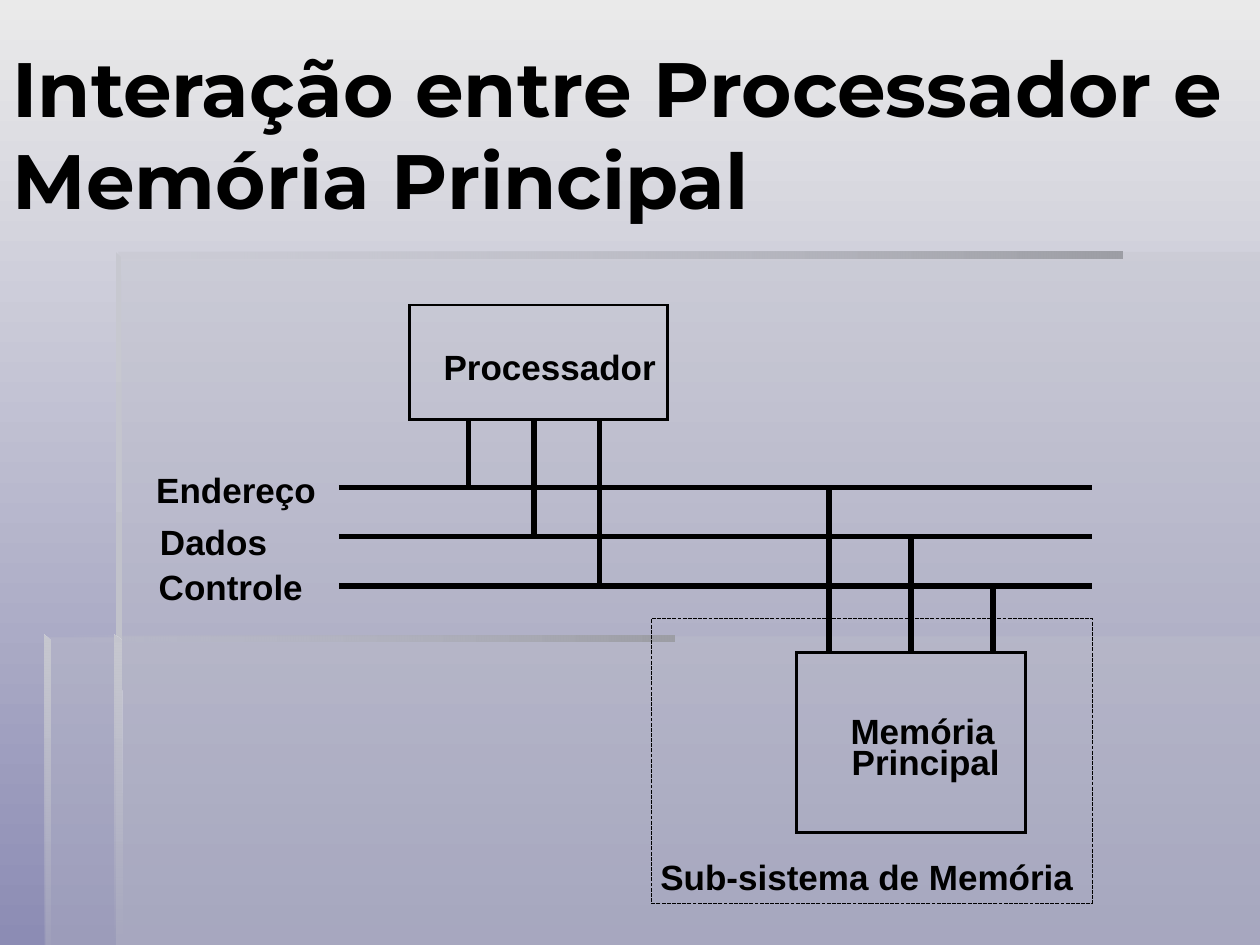
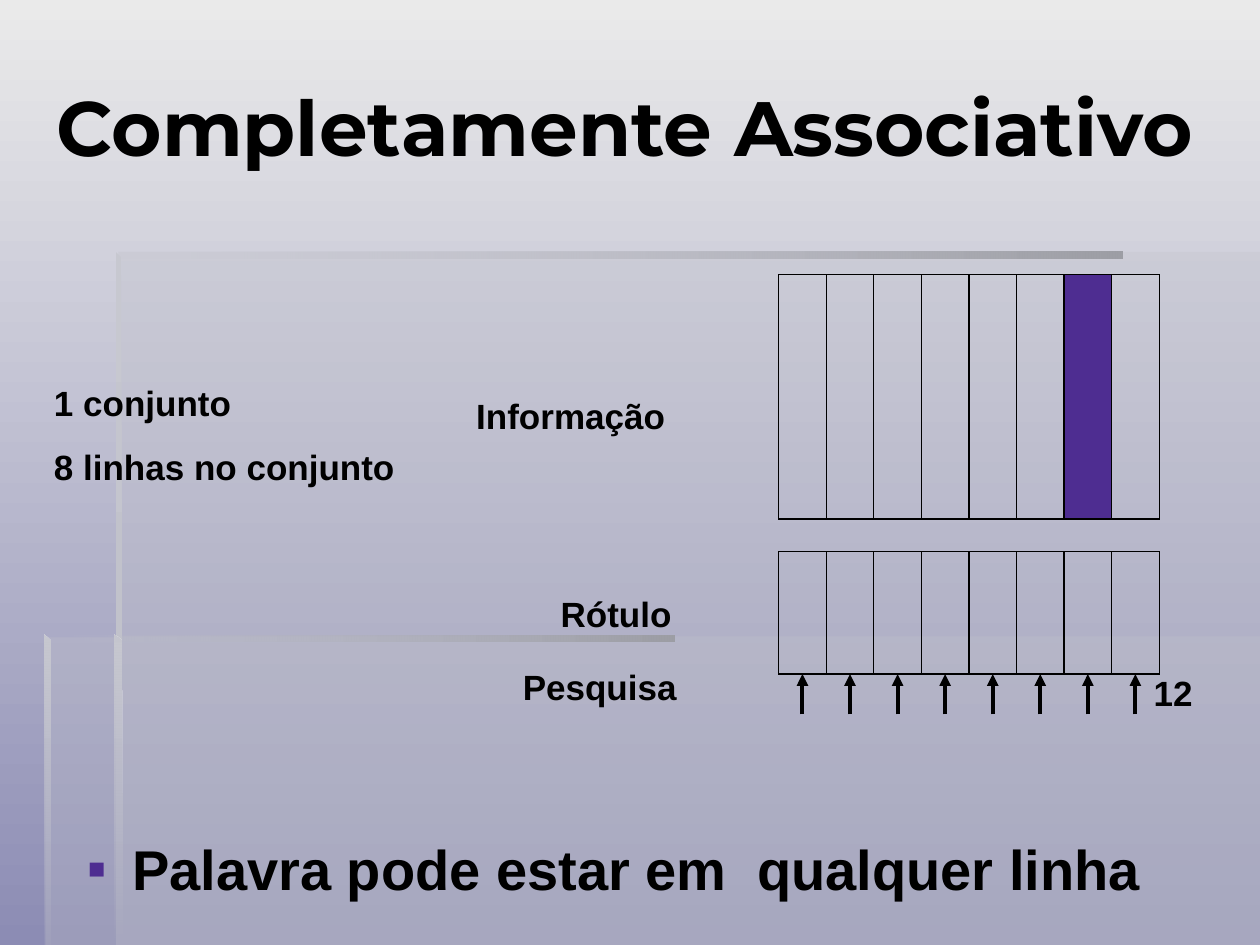
import pptx
import pptx.dml.color
import pptx.enum.dml
import pptx.enum.shapes
import pptx.enum.text
import pptx.oxml
import pptx.oxml.ns
import pptx.util
from pptx.util import Inches

# ---- Shared look ----
BLACK, PURPLE = "000000", "4E2D91"
BACKGROUND = [("EAEAEA", 100), ("8C8CB4", 100)]
PALE, BAR, EDGE = "C1C2CB", "9D9EA5", "C7C8D0"
BODY_FONT, TITLE_FONT = "Arial", "Montserrat"

# Decorative panels: outline, colour stops (colour, opacity %), clockwise angle
PANELS = [
    ([(0.92, 5.05), (0.92, 7.5), (10, 7.5), (10, 5.05)], [(PALE, 30)], 0),
    ([(0.94, 5.06), (0.36, 5.06), (0.36, 7.5), (10, 7.5), (10, 2), (0.94, 2)],
     [(PALE, 30)], 0),
    ([(0.92, 2), (0.92, 2.05), (8.91, 2.05), (8.91, 2)], [(BAR, 100), (PALE, 0)], 180),
    ([(0.92, 2), (0.92, 5.1), (0.97, 5.1), (0.96, 2.04)], [(EDGE, 100), (PALE, 100)], 90),
    ([(0.91, 7.5), (0.97, 7.5), (0.96, 5.08), (0.91, 5.04)], [(EDGE, 100), (PALE, 0)], 90),
    ([(0.35, 5.04), (0.35, 5.09), (5.35, 5.09), (5.35, 5.04)], [(BAR, 100), (PALE, 0)], 180),
    ([(0.35, 5.04), (0.35, 7.5), (0.4, 7.5), (0.4, 5.09)], [(EDGE, 100), (PALE, 10)], 90),
]

# ---- Slide 1: processor, buses and memory ----
BUS_TITLE = "Interação entre Processador e Memória Principal"
PROCESSOR_BOX = (3.25, 2.42, 2.05, 0.91)
MEMORY_BOX = (6.32, 5.18, 1.82, 1.43)
SUBSYSTEM_BOX = (5.17, 4.91, 3.5, 2.26)
BUS_LEFT, BUS_RIGHT, BUS_TOP, BUS_GAP, BUS_COUNT = 2.69, 8.67, 3.87, 0.39, 3
PROCESSOR_PIN, PROCESSOR_PIN_GAP = 3.72, 0.52
MEMORY_PIN, MEMORY_PIN_GAP = 6.58, 0.65
BUS_LABELS = [
    ("Processador", 3.52, 2.74, 1.69),
    ("Endereço", 1.24, 3.72, 1.27),
    ("Dados", 1.27, 4.13, 0.86),
    ("Controle", 1.26, 4.49, 1.15),
    ("Sub-sistema de Memória", 5.24, 6.79, 3.28),
    ("Memória", 6.75, 5.63, 1.15),
    ("Principal", 6.76, 5.88, 1.18),
]

# ---- Slide 2: fully associative cache ----
CACHE_TITLE = "Completamente Associativo"
CACHE_LEFT, CACHE_WIDTH, LINE_COUNT, FOUND_LINE = 6.18, 3.02, 8, 6
DATA_TOP, DATA_HEIGHT = 2.18, 1.94
TAG_TOP, TAG_HEIGHT = 4.38, 0.97
ARROW_START = 5.67
CACHE_LABELS = [
    ("Informação", 3.16, 3.08, 2.74),
    ("Rótulo", 3.05, 4.65, 3.68),
    ("Pesquisa", 3.44, 5.23, 2.64),
    ("12", 8.97, 5.28, 0.68),
]
CACHE_FACTS = ["1 conjunto", "8 linhas no conjunto"]
CACHE_POINT = "Palavra pode estar em  qualquer linha"


def color(value):
    return pptx.dml.color.RGBColor.from_string(value)


def set_opacity(color_element, percent):
    if percent < 100:
        alpha = pptx.oxml.parse_xml(
            f'<a:alpha {pptx.oxml.ns.nsdecls("a")} val="{percent * 1000}"/>')
        color_element.append(alpha)


def paint(fill, stops, angle, parent):
    """Solid fill for one stop, linear gradient for two."""
    if len(stops) == 1:
        fill.solid()
        fill.fore_color.rgb = color(stops[0][0])
    else:
        fill.gradient()
        fill.gradient_angle = 360 - angle
        for stop, (value, _) in zip(fill.gradient_stops, stops):
            stop.color.rgb = color(value)
    for element, (_, percent) in zip(parent.iter(pptx.oxml.ns.qn("a:srgbClr")), stops):
        set_opacity(element, percent)


def place(shape, left, top, width, height):
    shape.left, shape.top = Inches(left), Inches(top)
    shape.width, shape.height = Inches(width), Inches(height)


def write(paragraph, text, size=20, font_name=BODY_FONT):
    run = paragraph.add_run()
    run.text = text
    font = run.font
    font.size, font.name, font.bold = pptx.util.Pt(size), font_name, True
    font.color.rgb = color(BLACK)


def add_panels(slide):
    for index, (points, stops, angle) in enumerate(PANELS):
        corners = [(Inches(x), Inches(y)) for x, y in points]
        builder = slide.shapes.build_freeform(*corners[0])
        builder.add_line_segments(corners[1:], close=True)
        panel = builder.convert_to_shape()
        panel.shadow.inherit = False
        panel.line.fill.background()
        paint(panel.fill, stops, angle, panel.element.spPr)
        # Keep the panels behind the placeholders
        panel.element.getparent().insert(2 + index, panel.element)


def start_slide(presentation, layout_index, title, box):
    slide = presentation.slides.add_slide(presentation.slide_layouts[layout_index])
    add_panels(slide)
    place(slide.shapes.title, *box)
    frame = slide.shapes.title.text_frame
    frame.auto_size = pptx.enum.text.MSO_AUTO_SIZE.NONE
    frame.vertical_anchor = pptx.enum.text.MSO_ANCHOR.MIDDLE
    frame.paragraphs[0].alignment = pptx.enum.text.PP_ALIGN.LEFT
    write(frame.paragraphs[0], title, 44, TITLE_FONT)
    return slide


def add_box(slide, box, line_width, fill=None):
    shape = slide.shapes.add_shape(
        pptx.enum.shapes.MSO_SHAPE.RECTANGLE, *map(Inches, box))
    shape.shadow.inherit = False
    if fill:
        shape.fill.solid()
        shape.fill.fore_color.rgb = color(fill)
    else:
        shape.fill.background()
    shape.line.color.rgb = color(BLACK)
    shape.line.width = pptx.util.Pt(line_width)
    # Sharp corners
    shape.line._get_or_add_ln().append(pptx.oxml.parse_xml(
        f'<a:miter {pptx.oxml.ns.nsdecls("a")} lim="800000"/>'))
    return shape


def add_line(slide, start, end, width=3.12, arrow=False):
    line = slide.shapes.add_connector(
        pptx.enum.shapes.MSO_CONNECTOR.STRAIGHT, *map(Inches, start + end))
    line.line.color.rgb = color(BLACK)
    line.line.width = pptx.util.Pt(width)
    namespace = pptx.oxml.ns.nsdecls("a")
    if arrow:
        line.line._get_or_add_ln().append(
            pptx.oxml.parse_xml(f'<a:tailEnd {namespace} type="triangle"/>'))
    line.element.spPr.append(pptx.oxml.parse_xml(f"<a:effectLst {namespace}/>"))
    return line


def add_text(slide, texts, box, tight=False, centered=False, space_before=0):
    frame = slide.shapes.add_textbox(*map(Inches, box)).text_frame
    frame.word_wrap = not tight
    frame.auto_size = pptx.enum.text.MSO_AUTO_SIZE.SHAPE_TO_FIT_TEXT
    if tight:
        frame.margin_left = frame.margin_right = 0
        frame.margin_top = frame.margin_bottom = 0
    for index, text in enumerate(texts):
        paragraph = frame.add_paragraph() if index else frame.paragraphs[0]
        paragraph.space_before = pptx.util.Pt(space_before)
        if centered:
            paragraph.alignment = pptx.enum.text.PP_ALIGN.CENTER
        write(paragraph, text)


def build_bus_slide(presentation):
    slide = start_slide(presentation, 5, BUS_TITLE, (0, 0.27, 10, 1.57))
    add_box(slide, PROCESSOR_BOX, 1.5)
    memory = add_box(slide, MEMORY_BOX, 1.5)
    subsystem = add_box(slide, SUBSYSTEM_BOX, 0)
    subsystem.line.dash_style = pptx.enum.dml.MSO_LINE.SQUARE_DOT

    # Each bus has one pin to the processor and one to the memory
    processor_bottom = PROCESSOR_BOX[1] + PROCESSOR_BOX[3]
    for index in range(BUS_COUNT):
        bus_y = BUS_TOP + index * BUS_GAP
        processor_x = PROCESSOR_PIN + index * PROCESSOR_PIN_GAP
        memory_x = MEMORY_PIN + index * MEMORY_PIN_GAP
        add_line(slide, (BUS_LEFT, bus_y), (BUS_RIGHT, bus_y))
        add_line(slide, (processor_x, processor_bottom), (processor_x, bus_y))
        memory_pin = add_line(slide, (memory_x, bus_y), (memory_x, MEMORY_BOX[1]))
        if index == BUS_COUNT // 2:
            memory_pin.end_connect(memory, 0)

    for text, left, top, width in BUS_LABELS:
        add_text(slide, [text], (left, top, width, 0.33), tight=True)


def build_cache_slide(presentation):
    slide = start_slide(presentation, 1, CACHE_TITLE, (0.35, 0.21, 9.65, 1.57))

    # Data cells, tag cells and search arrows
    cell_width = CACHE_WIDTH / LINE_COUNT
    for index in range(LINE_COUNT):
        left = CACHE_LEFT + index * cell_width
        center = left + cell_width / 2
        add_box(slide, (left, DATA_TOP, cell_width, DATA_HEIGHT), 0.75,
                PURPLE if index == FOUND_LINE else None)
        tag = add_box(slide, (left, TAG_TOP, cell_width, TAG_HEIGHT), 0.75)
        arrow = add_line(slide, (center, ARROW_START), (center, TAG_TOP + TAG_HEIGHT),
                         2.25, arrow=True)
        arrow.end_connect(tag, 2)

    for text, left, top, width in CACHE_LABELS:
        add_text(slide, [text], (left, top, width, 0.44), centered=True)
    add_text(slide, CACHE_FACTS, (0.33, 2.98, 3.25, 0.94), space_before=12.5)

    # Bulleted conclusion
    body = slide.placeholders[1]
    place(body, 0.59, 6.57, 9.06, 0.64)
    body.text_frame.auto_size = pptx.enum.text.MSO_AUTO_SIZE.NONE
    paragraph = body.text_frame.paragraphs[0]
    paragraph.space_before = pptx.util.Pt(20)
    write(paragraph, CACHE_POINT, 32)
    properties = paragraph._p.get_or_add_pPr()
    properties.set("marL", str(Inches(0.36)))
    properties.set("indent", str(-Inches(0.36)))
    namespace = pptx.oxml.ns.nsdecls("a")
    for bullet_part in (
        f'<a:buClr {namespace}><a:srgbClr val="{PURPLE}"/></a:buClr>',
        f'<a:buFont {namespace} typeface="{BODY_FONT}"/>',
        f'<a:buChar {namespace} char="▪"/>',
    ):
        properties.append(pptx.oxml.parse_xml(bullet_part))


def main():
    presentation = pptx.Presentation()
    presentation.slide_width, presentation.slide_height = Inches(10), Inches(7.5)
    background = presentation.slide_master.background
    paint(background.fill, BACKGROUND, 90, presentation.slide_master.element.cSld)
    build_bus_slide(presentation)
    build_cache_slide(presentation)
    presentation.save("out.pptx")


if __name__ == "__main__":
    main()
